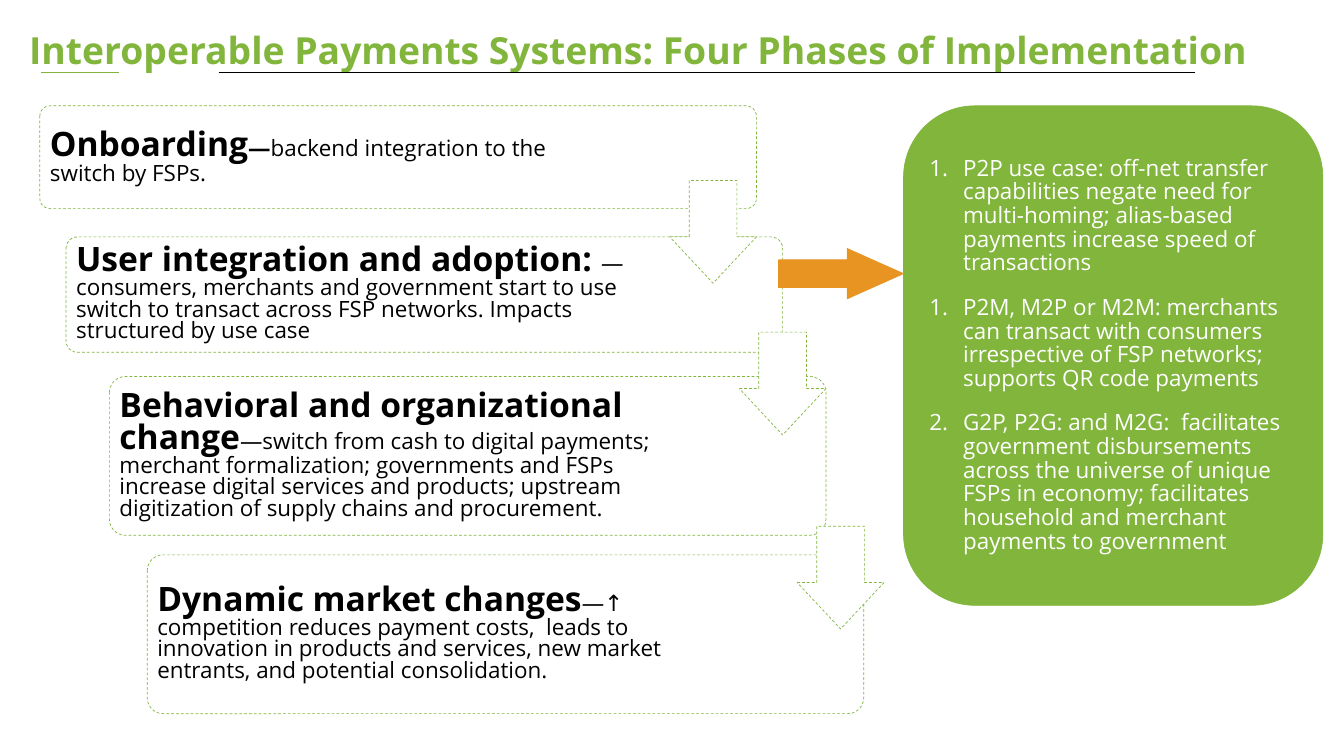
from dataclasses import dataclass

from lxml import etree
from pptx import Presentation
from pptx.dml.color import RGBColor
from pptx.enum.dml import MSO_LINE
from pptx.enum.shapes import MSO_CONNECTOR, MSO_SHAPE
from pptx.enum.text import MSO_ANCHOR, PP_ALIGN
from pptx.oxml.ns import qn
from pptx.util import Inches, Pt

ROUND_RECT = MSO_SHAPE.ROUNDED_RECTANGLE
DOWN_ARROW = MSO_SHAPE.DOWN_ARROW
RIGHT_ARROW = MSO_SHAPE.RIGHT_ARROW
STRAIGHT = MSO_CONNECTOR.STRAIGHT
DASH = MSO_LINE.DASH
MIDDLE = MSO_ANCHOR.MIDDLE
LEFT = PP_ALIGN.LEFT


@dataclass(frozen=True)
class Theme:
    font: str = "Open Sans"
    green: str = "81B53C"
    orange: str = "E89423"
    white: str = "FFFFFF"
    black: str = "000000"
    title: float = 53.3
    heading: float = 48
    body: float = 32


THEME = Theme()
CARD_W = 14.22
CARD_RADIUS = 0.1  # share of the card height
ARROW_W, ARROW_H = 1.72, 2.04

# left, top, height, right inset, line spacing, text runs (text, size, bold)
PHASES = [
    (0.79, 2.1, 2.04, 3.12, 0.85, [
        ("Onboarding", THEME.heading, True),
        ("—", THEME.body, True),
        ("backend integration to the switch by FSPs.", THEME.body, False)]),
    (1.31, 4.7, 2.29, 3.11, 0.8, [
        ("User integration and adoption: ", THEME.heading, True),
        ("—consumers, merchants and government start to use switch to "
         "transact across FSP networks. Impacts structured by use case",
         THEME.body, False)]),
    (2.17, 7.47, 3.15, 3.09, 0.8, [
        ("Behavioral and organizational change", THEME.heading, True),
        ("—switch from cash to digital payments; merchant formalization; "
         "governments and FSPs increase digital services and products; "
         "upstream digitization of supply chains and procurement.",
         THEME.body, False)]),
    (2.92, 11.01, 3.15, 3.11, 0.8, [
        ("Dynamic market changes", THEME.heading, True),
        ("—↑ competition reduces payment costs,  leads to innovation in "
         "products and services, new market entrants, and potential "
         "consolidation.", THEME.body, False)]),
]
PHASE_ARROWS = [(13.29, 3.58), (14.67, 6.59), (15.82, 10.44)]

# level, text
USE_CASES = [
    (1, "P2P use case: off-net transfer capabilities negate need for "
        "multi-homing; alias-based payments increase speed of transactions"),
    (0, "P2M, M2P or M2M: merchants can transact with consumers irrespective "
        "of FSP networks; supports QR code payments"),
    (0, "G2P, P2G: and M2G:  facilitates government disbursements across the "
        "universe of unique FSPs in economy; facilitates household and "
        "merchant payments to government"),
]


def rgb(value):
    return RGBColor.from_string(value)


def add_run(p, text, size=THEME.body, color=THEME.black, bold=False):
    r = p.add_run()
    r.text = text
    r.font.name = THEME.font
    r.font.size = Pt(size)
    r.font.bold = bold
    r.font.color.rgb = rgb(color)
    return r


def add_box(s, kind, box, fill, line, adjustments, dash=None):
    sp = s.shapes.add_shape(kind, *map(Inches, box))
    sp.shadow.inherit = False
    sp.fill.solid()
    sp.fill.fore_color.rgb = rgb(fill)
    sp.line.color.rgb = rgb(line)
    sp.line.width = Pt(1)
    if dash is not None:
        sp.line.dash_style = dash
    for i, value in enumerate(adjustments):
        sp.adjustments[i] = value
    return sp


def add_rule(s, x1, x2, y, color):
    line = s.shapes.add_connector(STRAIGHT, *map(Inches, (x1, y, x2, y)))
    line.line.color.rgb = rgb(color)
    line.line.width = Pt(2.25)
    etree.SubElement(line._element.spPr, qn("a:effectLst"))


def number_paragraph(p, hanging):
    pPr = p._p.get_or_add_pPr()
    pPr.set("marL", str(Inches(hanging)))
    pPr.set("indent", str(-Inches(hanging)))
    color = etree.SubElement(pPr, qn("a:buClr"))
    etree.SubElement(color, qn("a:srgbClr")).set("val", THEME.white)
    etree.SubElement(pPr, qn("a:buFont")).set("typeface", "+mj-lt")
    etree.SubElement(pPr, qn("a:buAutoNum")).set("type", "arabicPeriod")


def add_title(s, x, y, w, h):
    tf = s.shapes.add_textbox(*map(Inches, (x, y, w, h))).text_frame
    tf.word_wrap = True
    tf.vertical_anchor = MIDDLE
    p = tf.paragraphs[0]
    p.line_spacing = 0.9
    add_run(p, "Interoperable Payments Systems: Four Phases of Implementation",
            size=THEME.title, color=THEME.green, bold=True)
    # Underline in two pieces
    add_rule(s, x + 3.86, x + 23.24, y + 1.44, THEME.black)
    add_rule(s, x + 0.34, x + 1.89, y + 1.44, THEME.green)


def add_phase(s, x, y, w, h, right_inset, spacing, runs):
    sp = add_box(s, ROUND_RECT, (x, y, w, h), THEME.white, THEME.green,
                 [CARD_RADIUS], DASH)
    tf = sp.text_frame
    tf.word_wrap = True
    tf.vertical_anchor = MIDDLE
    # A rounded rectangle already insets its text by 0.29 of the radius
    corner = 0.29 * CARD_RADIUS * h
    tf.margin_left = tf.margin_top = tf.margin_bottom = Inches(0.2 - corner)
    tf.margin_right = Inches(right_inset - corner)
    p = tf.paragraphs[0]
    p.alignment = LEFT
    p.line_spacing = spacing
    for text, size, bold in runs:
        add_run(p, text, size=size, bold=bold)


def add_use_cases(s, x, y, w, h):
    sp = add_box(s, ROUND_RECT, (x, y, w, h), THEME.green, THEME.green, [0.17])
    tf = sp.text_frame
    tf.word_wrap = True
    tf.vertical_anchor = MIDDLE
    for i, (level, text) in enumerate(USE_CASES):
        p = tf.add_paragraph() if i else tf.paragraphs[0]
        p.level = level
        p.alignment = LEFT
        number_paragraph(p, 0.67)
        p.line_spacing = 0.88
        if i < len(USE_CASES) - 1:
            p.space_after = Pt(30)
        add_run(p, text, color=THEME.white)


def main():
    prs = Presentation()
    prs.slide_width, prs.slide_height = Inches(26.67), Inches(15)
    s = prs.slides.add_slide(prs.slide_layouts[6])

    add_use_cases(s, 17.93, 2.1, 8.32, 9.91)
    add_title(s, 0.48, 0, 25.77, 2.1)

    # Staircase of phases, joined by arrows
    for x, y, h, right_inset, spacing, runs in PHASES:
        add_phase(s, x, y, CARD_W, h, right_inset, spacing, runs)
    for x, y in PHASE_ARROWS:
        add_box(s, DOWN_ARROW, (x, y, ARROW_W, ARROW_H), THEME.white,
                THEME.green, [0.55, 0.535], DASH)

    # Arrow from user adoption to its use cases
    add_box(s, RIGHT_ARROW, (15.45, 4.93, 2.48, 1), THEME.orange,
            THEME.orange, [0.55, 1.12])

    prs.save("out.pptx")


if __name__ == "__main__":
    main()
